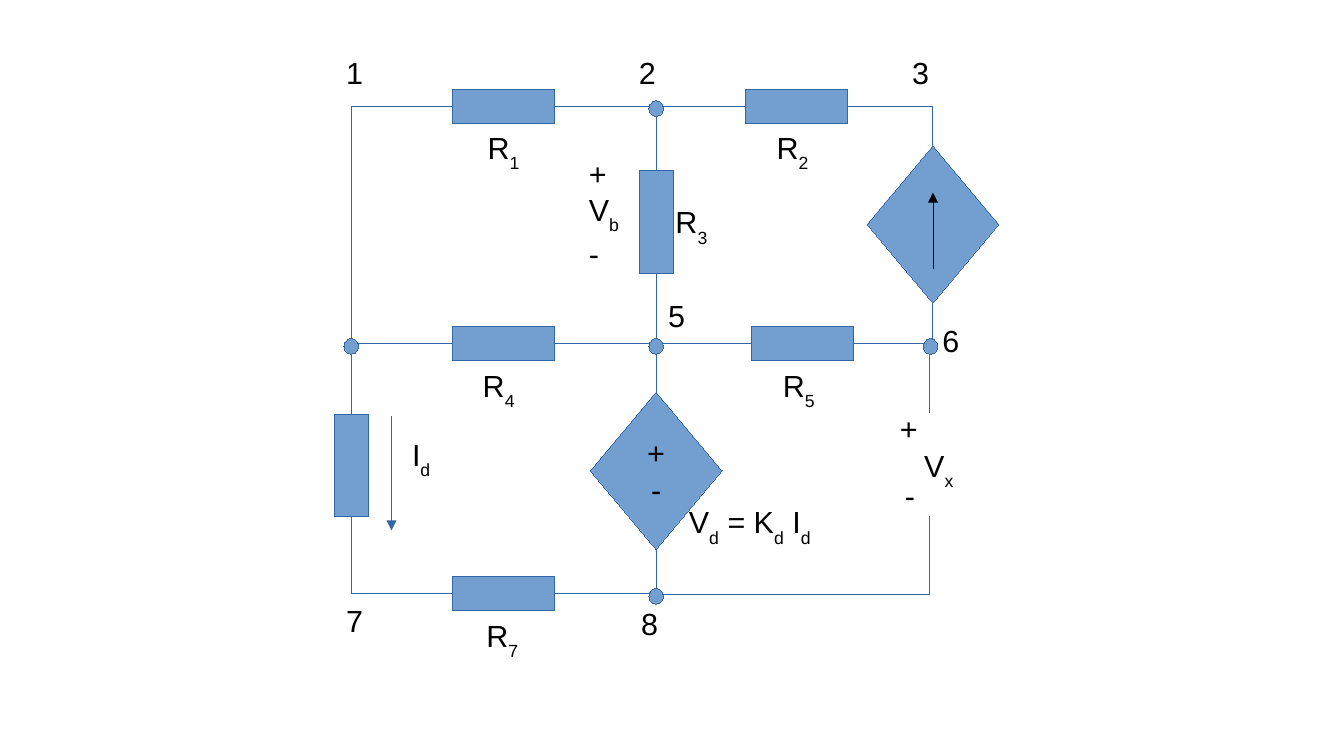
from pptx import Presentation
from pptx.dml.color import RGBColor
from pptx.enum.shapes import MSO_CONNECTOR, MSO_SHAPE
from pptx.enum.text import MSO_ANCHOR, PP_ALIGN
from pptx.oxml.ns import qn
from pptx.util import Inches
from lxml.etree import SubElement

FILL, LINE, INK = "729FCF", "3465A4", "000000"
LEFT, MID, RIGHT, EDGE = 2.88, 5.38, 7.65, 7.62
TOP, ROW, BASE = 0.87, 2.82, 4.87
LONG, SHORT = 0.84, 0.28

BENDS = [
    (3.71, TOP, LEFT, 1.41), (4.55, TOP, MID, 1.41),
    (6.11, TOP, MID, 1.41), (6.95, TOP, RIGHT, 1.2),
    (3.71, ROW, LEFT, 2.33), (3.71, ROW, LEFT, 3.41),
    (6.16, ROW, MID, 2.24), (4.55, ROW, MID, 3.22),
    (3.71, BASE, LEFT, 4.24), (4.55, BASE, MID, 4.51),
    (MID, 4.88, EDGE, 4.24),
]
WIRES = [
    (LEFT, 2.33, LEFT, 1.41), (4.55, ROW, 6.16, ROW), (7, ROW, 7.57, ROW),
    (RIGHT, 2.49, RIGHT, 2.84), (EDGE, 2.84, EDGE, 3.38),
]
FLAT = [(4.13, TOP), (6.53, TOP), (4.13, ROW), (6.58, ROW), (4.13, BASE)]
TALL = [(MID, 1.82), (LEFT, 3.82)]
SOURCES = [(RIGHT, 1.84, []), (MID, 3.86, ["+", "-"])]
ARROWS = [(RIGHT, 2.21, RIGHT, 1.58, INK), (3.21, 3.41, 3.21, 4.35, LINE)]
DOTS = [(MID, TOP), (LEFT, ROW), (MID, ROW), (7.63, ROW), (MID, BASE)]
LABELS = [
    (3.9, 1.01, 0.58, ["R_1"]), (6.27, 1.01, 0.58, ["R_2"]),
    (5.44, 1.62, 0.58, ["R_3"]), (3.86, 2.96, 0.58, ["R_4"]),
    (6.32, 2.96, 0.58, ["R_5"]), (3.89, 5.01, 0.58, ["R_7"]),
    (4.73, 1.22, 0.56, ["+", "V_b", "-"]), (3.28, 3.53, 0.92, ["I_d"]),
    (5.55, 4.08, 1.61, ["V_d_ = K_d_ I_d"]), (7.48, 3.62, 0.47, ["V_x"]),
    (7.28, 3.31, 0.4, ["+"]), (7.32, 3.86, 0.31, ["-"]),
    (2.74, 0.39, 0.43, ["1"]), (5.14, 0.39, 0.43, ["2"]),
    (7.38, 0.39, 0.43, ["3"]), (5.38, 2.39, 0.43, ["5"]),
    (7.63, 2.59, 0.43, ["6"]), (2.74, 4.89, 0.43, ["7"]),
    (5.16, 4.91, 0.57, ["8"]),
]


def tint(code):
    return RGBColor.from_string(code)


def write(frame, rows, align=PP_ALIGN.LEFT):
    for i, row in enumerate(rows):
        para = frame.paragraphs[0] if i == 0 else frame.add_paragraph()
        para.alignment = align
        for j, part in enumerate(row.split("_")):
            run = para.add_run()
            run.text = part
            run.font.name = "Arial"
            run.font.size = Inches(0.25)
            run.font.color.rgb = tint(INK)
            if j % 2:
                run.font._element.set("baseline", "-33000")


def thin(shape, code):
    shape.line.color.rgb = tint(code)
    stroke = shape._element.spPr.find(qn("a:ln"))
    stroke.set("w", "0")
    shape._element.remove(shape._element.find(qn("p:style")))
    return stroke


def wire(slide, x1, y1, x2, y2, code=LINE, head=False, bend=False):
    ends = [Inches(v) for v in (x1, y1, x2, y2)]
    kind = MSO_CONNECTOR.ELBOW if bend else MSO_CONNECTOR.STRAIGHT
    line = slide.shapes.add_connector(kind, *ends)
    stroke = thin(line, code)
    props = line._element.spPr
    if bend:
        props.find(qn("a:prstGeom")).set("prst", "bentConnector2")
    if head:
        SubElement(stroke, qn("a:tailEnd"), type="triangle")
    SubElement(props, qn("a:effectLst"))


def part(slide, kind, x, y, wide, high):
    box = [Inches(v) for v in (x - wide / 2, y - high / 2, wide, high)]
    shape = slide.shapes.add_shape(kind, *box)
    shape.shadow.inherit = False
    shape.fill.solid()
    shape.fill.fore_color.rgb = tint(FILL)
    thin(shape, LINE)
    return shape


def label(slide, x, y, wide, rows):
    size = [Inches(v) for v in (x, y, wide, 0.2 + 0.3 * len(rows))]
    frame = slide.shapes.add_textbox(*size).text_frame
    frame.word_wrap = True
    write(frame, rows)


def main():
    deck = Presentation()
    deck.slide_width, deck.slide_height = Inches(11.02), Inches(6.2)
    slide = deck.slides.add_slide(deck.slide_layouts[6])
    for ends in BENDS:
        wire(slide, *ends, bend=True)
    for ends in WIRES:
        wire(slide, *ends)
    for x, y in FLAT:
        part(slide, MSO_SHAPE.RECTANGLE, x, y, LONG, SHORT)
    for x, y in TALL:
        part(slide, MSO_SHAPE.RECTANGLE, x, y, SHORT, LONG)
    for x, y, signs in SOURCES:
        frame = part(slide, MSO_SHAPE.DIAMOND, x, y, 1.08, 1.29).text_frame
        frame.word_wrap = False
        frame.vertical_anchor = MSO_ANCHOR.MIDDLE
        write(frame, signs, PP_ALIGN.CENTER)
    for arrow in ARROWS:
        wire(slide, *arrow, head=True)
    for x, y in DOTS:
        part(slide, MSO_SHAPE.OVAL, x, y + 0.02, 0.12, 0.13)
    for item in LABELS:
        label(slide, *item)
    deck.save("out.pptx")


if __name__ == "__main__":
    main()
